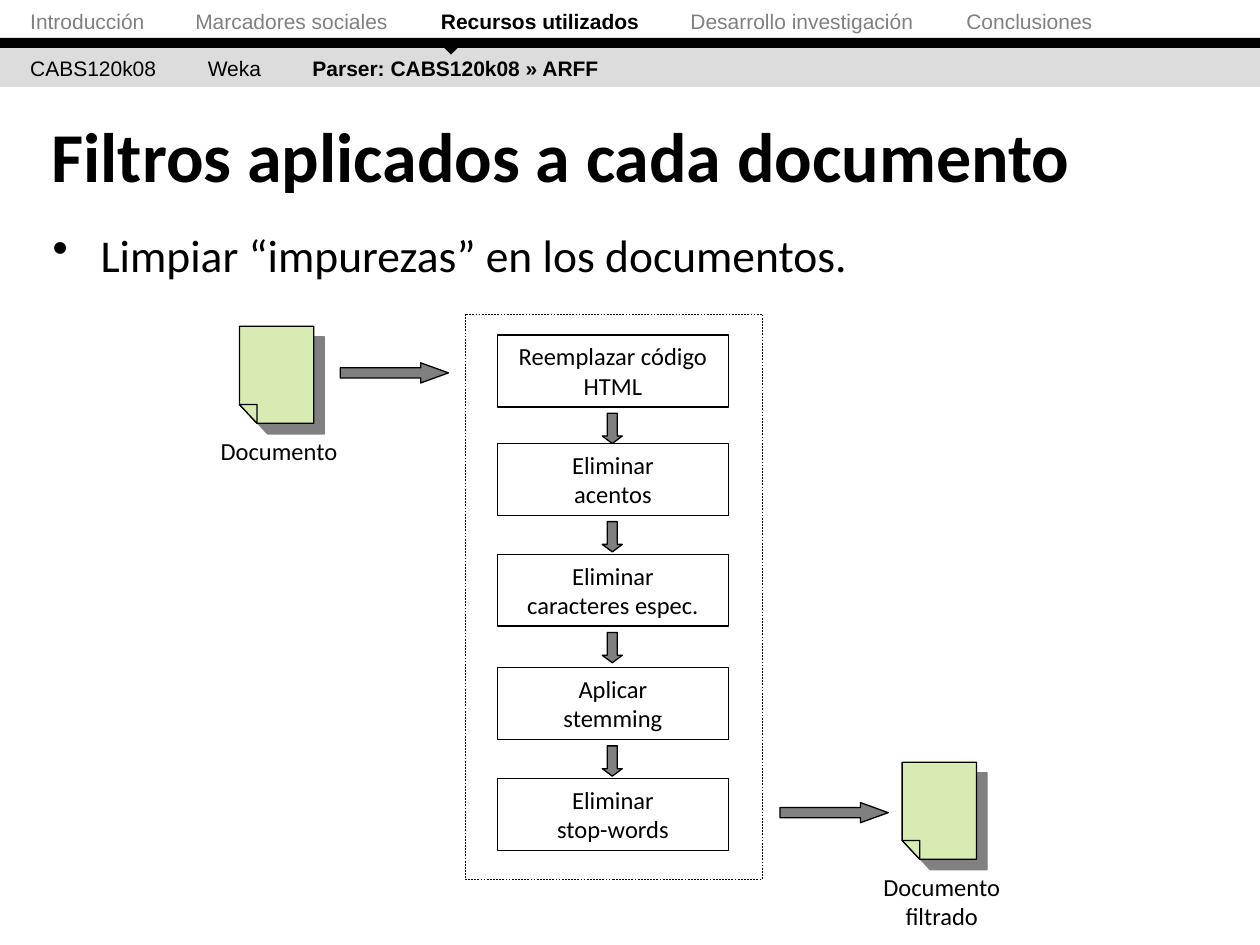
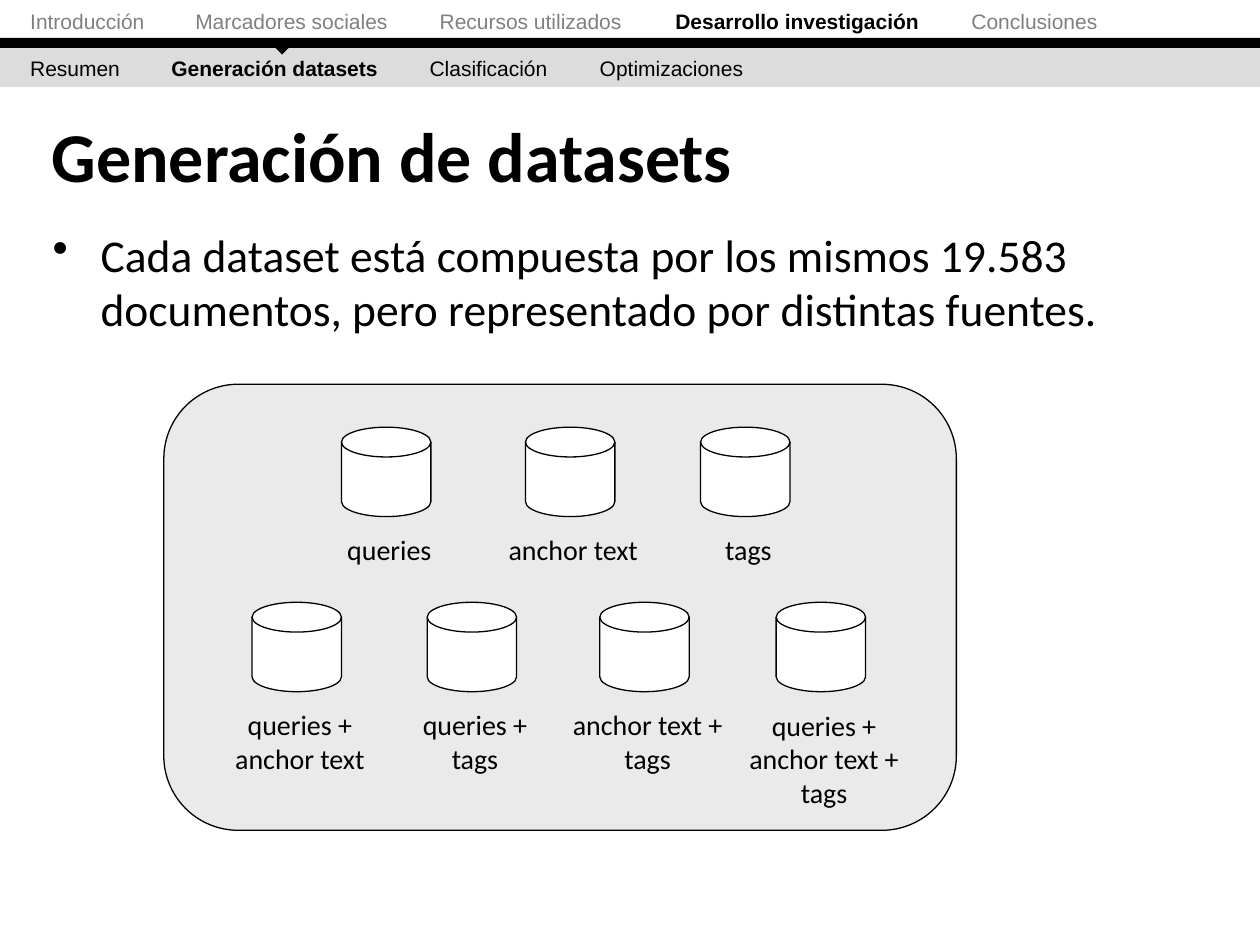
from dataclasses import dataclass
from typing import Any, Optional

import pptx
import pptx.dml.color
import pptx.enum.dml
import pptx.enum.shapes
import pptx.enum.text
import pptx.oxml
import pptx.oxml.ns
import pptx.util
from lxml import etree

Inches = pptx.util.Inches
RGBColor = pptx.dml.color.RGBColor
Geometry = pptx.enum.shapes.MSO_SHAPE
Align = pptx.enum.text.PP_ALIGN
Anchor = pptx.enum.text.MSO_ANCHOR
AutoSize = pptx.enum.text.MSO_AUTO_SIZE

BLACK = RGBColor(0x00, 0x00, 0x00)
WHITE = RGBColor(0xFF, 0xFF, 0xFF)
GRAY = RGBColor(0x80, 0x80, 0x80)
BAND_GRAY = RGBColor(0xDC, 0xDC, 0xDC)
PANEL_GRAY = RGBColor(0xEA, 0xEA, 0xEA)
PAPER_GREEN = RGBColor(0xD8, 0xEB, 0xB3)

MENU_LEFT = 0.24
SECTIONS = ("Introducción", "Marcadores sociales", "Recursos utilizados",
            "Desarrollo investigación", "Conclusiones")


@dataclass(frozen=True)
class Box:
    left: float
    top: float
    width: float
    height: float

    def lengths(self) -> tuple:
        return tuple(Inches(value) for value in
                     (self.left, self.top, self.width, self.height))


@dataclass(frozen=True)
class Menu:
    """Entries of one navigation row, with where each begins, in inches."""
    entries: tuple[str, ...]
    starts: tuple[float, ...]
    active: str
    idle_color: RGBColor


@dataclass(frozen=True)
class Page:
    """A sheet with a folded corner, and its caption."""
    left: float
    top: float
    caption: str


@dataclass(frozen=True)
class Dataset:
    left: float
    top: float
    label: str


# Formatting helpers
def apply_format(target: Any, values: dict) -> None:
    for name, value in values.items():
        setattr(target, name, value)


def format_font(font: Any, size: float, name: str = "Calibri",
                bold: bool = False, color: RGBColor = BLACK) -> None:
    apply_format(font, {"size": pptx.util.Pt(size), "name": name, "bold": bold})
    font.color.rgb = color


def add_element(parent: Any, tag: str, **attributes: Any) -> Any:
    element = etree.SubElement(parent, pptx.oxml.ns.qn(tag))
    for name, value in attributes.items():
        element.set(name, str(value))
    return element


def format_shape(shape: Any, fill: Optional[RGBColor],
                 line: Optional[RGBColor] = BLACK, width: float = 0.75) -> None:
    if fill is None:
        shape.fill.background()
    else:
        shape.fill.solid()
        shape.fill.fore_color.rgb = fill
    if line is None:
        shape.line.fill.background()
    else:
        shape.line.color.rgb = line
        shape.line.width = pptx.util.Pt(width)
    shape.shadow.inherit = False


def add_shape(slide: Any, geometry: Any, box: Box, fill: Optional[RGBColor],
              line: Optional[RGBColor] = BLACK, width: float = 0.75,
              adjustments: tuple[float, ...] = ()) -> Any:
    shape = slide.shapes.add_shape(geometry, *box.lengths())
    format_shape(shape, fill, line, width)
    for index, value in enumerate(adjustments):
        shape.adjustments[index] = value
    return shape


def prepare_frame(shape: Any, left_inset: float = 0.1) -> Any:
    frame = shape.text_frame
    apply_format(frame, {
        "word_wrap": True, "auto_size": AutoSize.NONE,
        "vertical_anchor": Anchor.TOP, "margin_left": Inches(left_inset),
        "margin_right": Inches(0.1), "margin_top": Inches(0.05),
        "margin_bottom": Inches(0.05)})
    return frame


def write_centered(shape: Any, text: str, size: float) -> None:
    paragraph = prepare_frame(shape).paragraphs[0]
    paragraph.text = text
    paragraph.alignment = Align.CENTER
    for run in paragraph.runs:
        format_font(run.font, size)


def add_label(slide: Any, box: Box, text: str, size: float) -> None:
    write_centered(slide.shapes.add_textbox(*box.lengths()), text, size)


# Shared parts of every slide
def add_menu(slide: Any, menu: Menu, top: float) -> None:
    textbox = slide.shapes.add_textbox(*Box(0, top, 9.77, 0.3).lengths())
    paragraph = prepare_frame(textbox, MENU_LEFT).paragraphs[0]
    tabs = add_element(paragraph._p.get_or_add_pPr(), "a:tabLst")
    for start in menu.starts:
        add_element(tabs, "a:tab", pos=Inches(start - MENU_LEFT), algn="l")
    for index, entry in enumerate(menu.entries):
        run = paragraph.add_run()
        run.text = f"\t{entry}" if index else entry
        is_active = entry == menu.active
        format_font(run.font, 12, "Arial", is_active,
                    BLACK if is_active else menu.idle_color)


def add_title(slide: Any, text: str) -> None:
    title = slide.shapes.title
    box = Box(0.31, 0.86, 9.61, 0.74)
    apply_format(title, dict(zip(("left", "top", "width", "height"),
                                 box.lengths())))
    frame = prepare_frame(title)
    frame.vertical_anchor = Anchor.MIDDLE
    paragraph = frame.paragraphs[0]
    paragraph.text = text
    paragraph.alignment = Align.LEFT
    format_font(paragraph.runs[0].font, 40, bold=True)


def add_bullet(slide: Any, text: str) -> None:
    textbox = slide.shapes.add_textbox(*Box(0.32, 1.75, 9.37, 1.1).lengths())
    paragraph = prepare_frame(textbox).paragraphs[0]
    paragraph.text = text
    properties = paragraph._p.get_or_add_pPr()
    properties.set("marL", str(Inches(0.38)))
    properties.set("indent", str(Inches(-0.38)))
    add_element(properties, "a:buChar", char="•")
    format_font(paragraph.runs[0].font, 26)


def add_base_slide(presentation: Any, sections: Menu, topics: Menu,
                   pointer_left: float, title: str, bullet: str) -> Any:
    slide = presentation.slides.add_slide(presentation.slide_layouts[5])
    add_shape(slide, Geometry.RECTANGLE, Box(0, 0.37, 10, 0.32), BAND_GRAY, None)
    add_shape(slide, Geometry.RECTANGLE, Box(0, 0.3, 10, 0.08), BLACK, None)
    add_menu(slide, sections, 0.02)
    add_menu(slide, topics, 0.39)
    pointer = add_shape(slide, Geometry.RIGHT_TRIANGLE,
                        Box(pointer_left, 0.24, 0.16, 0.16), BLACK, None)
    pointer.rotation = 315
    add_title(slide, title)
    add_bullet(slide, bullet)
    return slide


# Filter pipeline
def add_outline(slide: Any, page: Page, points: list) -> Any:
    corners = [(Inches(page.left + x), Inches(page.top + y)) for x, y in points]
    builder = slide.shapes.build_freeform(*corners[0])
    builder.add_line_segments(corners[1:], close=True)
    shape = builder.convert_to_shape()
    format_shape(shape, PAPER_GREEN)
    return shape


def add_page(slide: Any, page: Page) -> None:
    width, height, fold_x, fold_y = 0.59, 0.77, 0.14, 0.62
    sheet = add_outline(slide, page, [(0, 0), (width, 0), (width, height),
                                      (fold_x, height), (0, fold_y)])
    effects = sheet._element.spPr.find(pptx.oxml.ns.qn("a:effectLst"))
    shadow = add_element(effects, "a:outerShdw", blurRad=0,
                         dist=pptx.util.Pt(8.5), dir=45 * 60000,
                         algn="tl", rotWithShape=0)
    add_element(shadow, "a:srgbClr", val=GRAY)
    add_outline(slide, page, [(0, fold_y), (fold_x, fold_y), (fold_x, height)])
    lines = page.caption.count("\n") + 1
    add_label(slide, Box(page.left - 0.35, page.top + 0.82, 1.33,
                         0.1 + 0.24 * lines), page.caption, 14)


def build_filters_slide(presentation: Any) -> None:
    slide = add_base_slide(
        presentation,
        Menu(SECTIONS, (MENU_LEFT, 1.55, 3.5, 5.48, 7.67),
             "Recursos utilizados", GRAY),
        Menu(("CABS120k08", "Weka", "Parser: CABS120k08 » ARFF"),
             (MENU_LEFT, 1.65, 2.48), "Parser: CABS120k08 » ARFF", BLACK),
        3.5, "Filtros aplicados a cada documento",
        "Limpiar “impurezas” en los documentos.")

    # Steps, each but the last followed by a down arrow
    steps = {"Reemplazar código HTML": 2.66, "Eliminar\nacentos": 3.52,
             "Eliminar\ncaracteres espec.": 4.4, "Aplicar\nstemming": 5.3,
             "Eliminar\nstop-words": 6.18}
    for step, top in steps.items():
        box = add_shape(slide, Geometry.RECTANGLE,
                        Box(3.95, top, 1.83, 0.57), None)
        write_centered(box, step, 14)
    for top in list(steps.values())[:-1]:
        add_shape(slide, Geometry.DOWN_ARROW, Box(4.78, top + 0.62, 0.16, 0.24),
                  GRAY, adjustments=(0.5, 0.37))

    # Incoming and outgoing documents
    for left, top in ((2.7, 2.88), (6.19, 6.37)):
        add_shape(slide, Geometry.RIGHT_ARROW, Box(left, top, 0.86, 0.16),
                  GRAY, adjustments=(0.5, 1.38))
    for page in (Page(1.9, 2.59, "Documento"),
                 Page(7.16, 6.05, "Documento\nfiltrado")):
        add_page(slide, page)

    frame = add_shape(slide, Geometry.RECTANGLE, Box(3.69, 2.49, 2.36, 4.49),
                      None, width=0.25)
    frame.line.dash_style = pptx.enum.dml.MSO_LINE.DASH


# Dataset collection
def build_datasets_slide(presentation: Any) -> None:
    slide = add_base_slide(
        presentation,
        Menu(SECTIONS, (MENU_LEFT, 1.55, 3.49, 5.36, 7.71),
             "Desarrollo investigación", GRAY),
        Menu(("Resumen", "Generación datasets", "Clasificación",
              "Optimizaciones"), (MENU_LEFT, 1.36, 3.41, 4.76),
             "Generación datasets", BLACK),
        2.16, "Generación de datasets",
        "Cada dataset está compuesta por los mismos 19.583 documentos, "
        "pero representado por distintas fuentes.")
    add_shape(slide, Geometry.ROUNDED_RECTANGLE, Box(1.3, 3.05, 6.29, 3.54),
              PANEL_GRAY, adjustments=(0.167,))

    single_top, combined_top = 3.39, 4.78
    datasets = (
        Dataset(2.71, single_top, "queries"),
        Dataset(4.17, single_top, "anchor text"),
        Dataset(5.56, single_top, "tags"),
        Dataset(2, combined_top, "queries +\nanchor text"),
        Dataset(3.39, combined_top, "queries +\ntags"),
        Dataset(4.76, combined_top, "anchor text +\ntags"),
        Dataset(6.16, combined_top, "queries +\nanchor text +\ntags"))
    for dataset in datasets:
        add_shape(slide, Geometry.FLOWCHART_MAGNETIC_DISK,
                  Box(dataset.left, dataset.top, 0.71, 0.71), WHITE)
        lines = dataset.label.count("\n") + 1
        add_label(slide, Box(dataset.left - 0.56, dataset.top + 0.79, 1.88,
                             0.1 + 0.27 * lines), dataset.label, 16)


def main() -> None:
    presentation = pptx.Presentation()
    presentation.slide_width = Inches(10)
    presentation.slide_height = Inches(7.5)
    build_filters_slide(presentation)
    build_datasets_slide(presentation)
    presentation.save("out.pptx")


if __name__ == "__main__":
    main()
